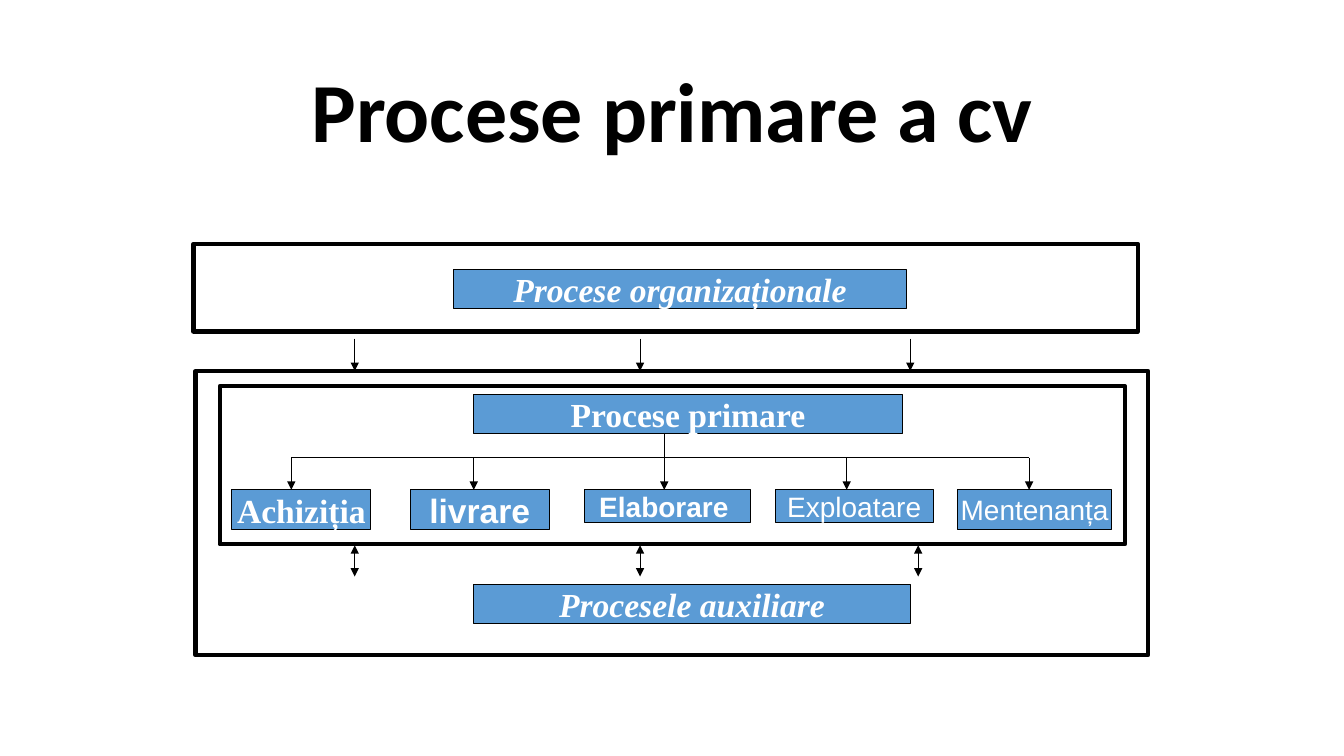
from dataclasses import dataclass

import pptx
import pptx.dml.color
import pptx.enum.shapes
import pptx.enum.text
import pptx.oxml
import pptx.oxml.ns
import pptx.util
from pptx.util import Pt

BLACK, WHITE, BLUE = "000000", "FFFFFF", "5B9BD5"
SERIF, SANS = "Times New Roman", "Arial"


@dataclass
class Box:
    left: float
    top: float
    width: float
    height: float
    text: str = ""
    font: str = SERIF
    size: float = 24
    bold: bool = True
    italic: bool = False


@dataclass
class Line:
    x1: float
    y1: float
    x2: float
    y2: float
    head: bool = False
    tail: bool = True


def rgb(color: str) -> pptx.dml.color.RGBColor:
    return pptx.dml.color.RGBColor.from_string(color)


def write(frame, text: str, font: str, size: float, color: str,
          bold: bool, italic: bool = False) -> None:
    paragraph = frame.paragraphs[0]
    paragraph.text = text
    paragraph.alignment = pptx.enum.text.PP_ALIGN.CENTER
    paragraph.font.name = font
    paragraph.font.size = Pt(size)
    paragraph.font.bold = bold
    paragraph.font.italic = italic
    paragraph.font.color.rgb = rgb(color)


def draw_box(slide, box: Box, fill: str, weight: float) -> None:
    shape = slide.shapes.add_shape(
        pptx.enum.shapes.MSO_SHAPE.RECTANGLE,
        Pt(box.left), Pt(box.top), Pt(box.width), Pt(box.height))
    shape.shadow.inherit = False
    shape.fill.solid()
    shape.fill.fore_color.rgb = rgb(fill)
    shape.line.color.rgb = rgb(BLACK)
    shape.line.width = Pt(weight)
    if box.text:
        frame = shape.text_frame
        frame.word_wrap = False
        frame.vertical_anchor = pptx.enum.text.MSO_ANCHOR.MIDDLE
        write(frame, box.text, box.font, box.size, WHITE, box.bold, box.italic)


def draw_line(slide, line: Line) -> None:
    connector = slide.shapes.add_connector(
        pptx.enum.shapes.MSO_CONNECTOR.STRAIGHT,
        Pt(line.x1), Pt(line.y1), Pt(line.x2), Pt(line.y2))
    connector.line.color.rgb = rgb(BLACK)
    connector.line.width = Pt(0.75)
    outline = connector.line._get_or_add_ln()
    for tag, wanted in (("a:headEnd", line.head), ("a:tailEnd", line.tail)):
        if wanted:
            end = pptx.oxml.parse_xml(
                f'<{tag} {pptx.oxml.ns.nsdecls("a")} type="triangle"/>')
            outline.append(end)
    connector._element.spPr.append(pptx.oxml.parse_xml(
        f'<a:effectLst {pptx.oxml.ns.nsdecls("a")}/>'))


# Frames around the process groups, back to front
FRAMES = [
    Box(139.7, 265, 680.4, 203),
    Box(157, 275.8, 646.6, 113),
    Box(138.2, 174.2, 674.6, 62.6),
]

# Process labels
STEP_TOP = 349.9
PROCESSES = [
    Box(324, 192.2, 323.3, 28.1, "Procese organizaționale", italic=True),
    Box(338.4, 281.5, 306, 28.1, "Procese primare"),
    Box(165.6, STEP_TOP, 99.4, 28.1, "Achiziția"),
    Box(293, STEP_TOP, 99.4, 28.1, "livrare", SANS),
    Box(417.6, STEP_TOP, 118.8, 23, "Elaborare ", SANS, 20),
    Box(553.7, STEP_TOP, 113, 23, "Exploatare", SANS, 20, False),
    Box(684, STEP_TOP, 110.2, 28.1, "Mentenanța", SANS, 20, False),
    Box(338.4, 417.6, 311.8, 28.1, "Procesele auxiliare", italic=True),
]

# Arrows between groups, then the tree from the primary process to its steps
BRANCH_Y = 326.9
STEP_XS = [208.1, 338.4, 604.8, 735.1]
LINES = (
    [Line(x, 241.9, x, 265) for x in (253.4, 457.2, 650.2)]
    + [Line(x, 389.5, x, 411.8, head=True) for x in (253.4, 457.2, 655.9)]
    + [Line(STEP_XS[0], BRANCH_Y, STEP_XS[-1], BRANCH_Y, tail=False),
       Line(474.5, 310.3, 474.5, STEP_TOP)]
    + [Line(x, BRANCH_Y, x, STEP_TOP) for x in STEP_XS]
)


def main() -> None:
    presentation = pptx.Presentation()
    presentation.slide_width = Pt(960)
    presentation.slide_height = Pt(540)
    slide = presentation.slides.add_slide(presentation.slide_layouts[6])

    # Title
    title = slide.shapes.add_textbox(Pt(174.2), Pt(23.8), Pt(612), Pt(94.3))
    title.text_frame.word_wrap = True
    title.text_frame.vertical_anchor = pptx.enum.text.MSO_ANCHOR.BOTTOM
    write(title.text_frame, "Procese primare a cv", "Calibri", 60, BLACK, True)
    title.text_frame.paragraphs[0].line_spacing = 0.9

    # Diagram
    for frame in FRAMES:
        draw_box(slide, frame, WHITE, 3)
    for process in PROCESSES:
        draw_box(slide, process, BLUE, 0.75)
    for line in LINES:
        draw_line(slide, line)

    presentation.save("out.pptx")


if __name__ == "__main__":
    main()
